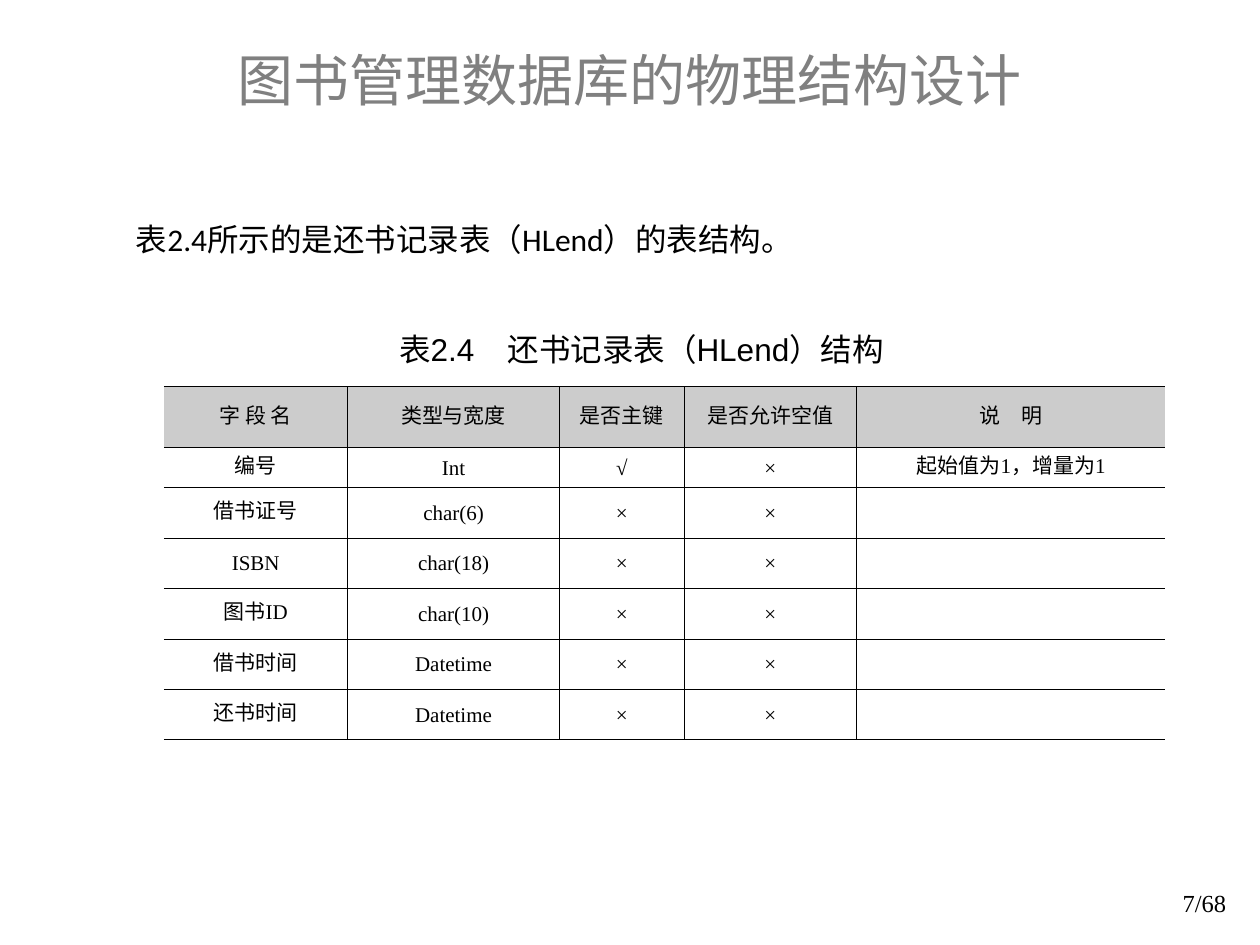
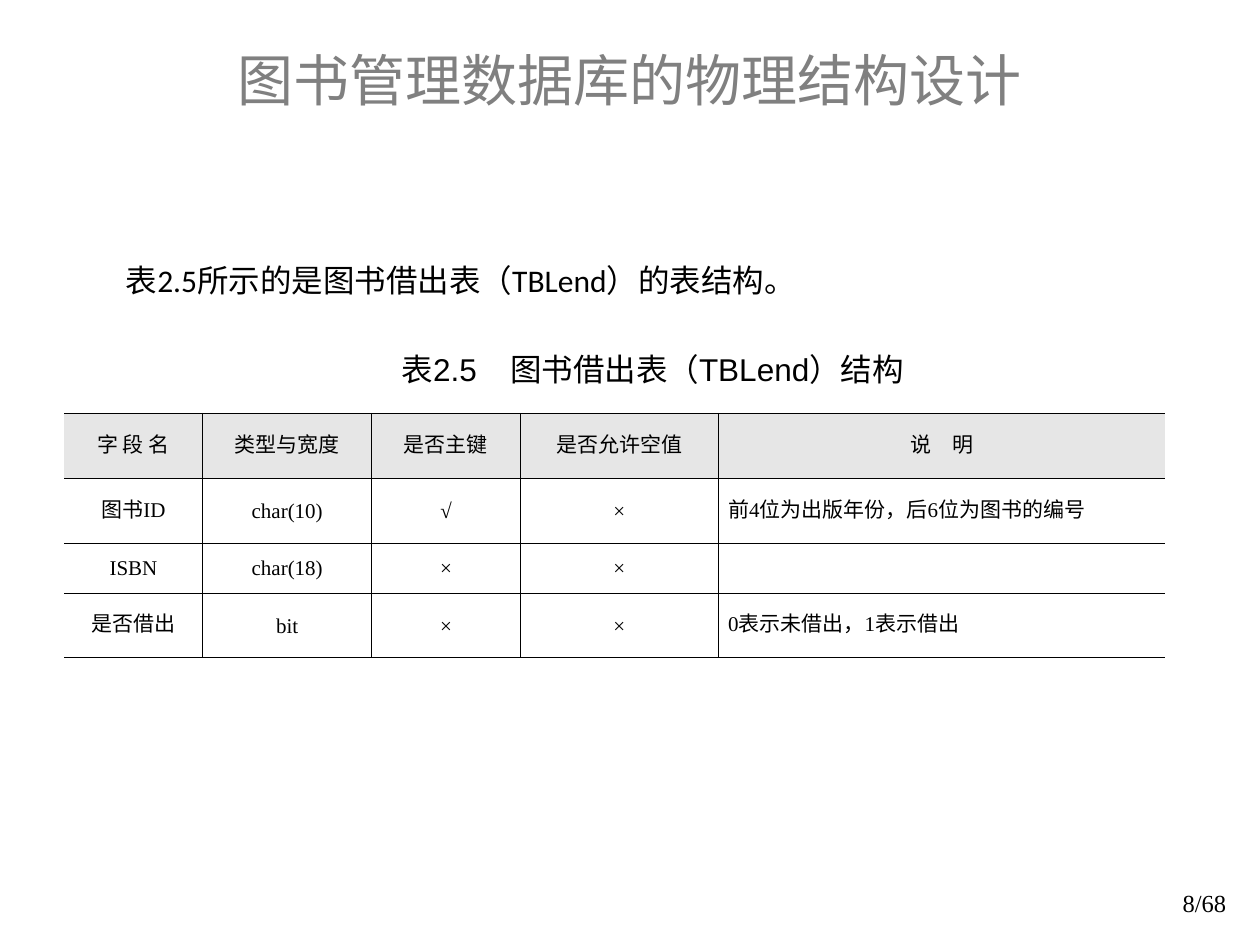
"""Two slides on the physical design of a library database."""
from lxml.etree import SubElement
from pptx import Presentation
from pptx.dml.color import RGBColor
from pptx.enum.text import MSO_ANCHOR, PP_ALIGN
from pptx.oxml.ns import qn
from pptx.util import Inches, Pt

COLORS = {"text": "000000", "title": "808080", "border": "000000"}
TITLE = "图书管理数据库的物理结构设计"
TOTAL_PAGES = 68
HEADER = ["字 段 名", "类型与宽度", "是否主键", "是否允许空值", "说　明"]
CAPTION_TAB = 0.86

SLIDES = [
    {
        "page": 7,
        "intro": ("表2.4所示的是还书记录表（HLend）的表结构。", (0.98, 1.7, 5.3, 0.7)),
        "caption": ("表2.4\t还书记录表（HLend）结构", (3.07, 2.57, 4.6, 0.4)),
        "table_at": (1.3, 3.07),
        "cols": [1.46, 1.68, 0.99, 1.37, 2.45],
        "heights": [0.48, 0.32] + [0.4] * 5,
        "header_fill": "CCCCCC",
        "note_align": PP_ALIGN.CENTER,
        "rows": [
            ["编号", "Int", "√", "×", "起始值为1，增量为1"],
            ["借书证号", "char(6)", "×", "×", ""],
            ["ISBN", "char(18)", "×", "×", ""],
            ["图书ID", "char(10)", "×", "×", ""],
            ["借书时间", "Datetime", "×", "×", ""],
            ["还书时间", "Datetime", "×", "×", ""],
        ],
    },
    {
        "page": 8,
        "intro": ("表2.5所示的是图书借出表（TBLend）的表结构。", (0.9, 2.02, 6.68, 0.4)),
        "caption": ("表2.5\t图书借出表（TBLend）结构", (3.09, 2.73, 4.7, 0.4)),
        "table_at": (0.51, 3.28),
        "cols": [1.1, 1.34, 1.18, 1.57, 3.55],
        "heights": [0.52, 0.51, 0.4, 0.51],
        "header_fill": "E6E6E6",
        "note_align": PP_ALIGN.JUSTIFY,
        "rows": [
            ["图书ID", "char(10)", "√", "×", "前4位为出版年份，后6位为图书的编号"],
            ["ISBN", "char(18)", "×", "×", ""],
            ["是否借出", "bit", "×", "×", "0表示未借出，1表示借出"],
        ],
    },
]


def add_run(p, text, size, font, color="text"):
    r = p.add_run()
    r.text = text
    r.font.size = Pt(size)
    r.font.name = font
    r.font.color.rgb = RGBColor.from_string(COLORS[color])


def add_text(s, text, box, size, font, align=PP_ALIGN.LEFT, tab=None):
    tf = s.shapes.add_textbox(*map(Inches, box)).text_frame
    tf.word_wrap = True
    p = tf.paragraphs[0]
    p.alignment = align
    if tab:
        tabs = SubElement(p._p.get_or_add_pPr(), qn("a:tabLst"))
        SubElement(tabs, qn("a:tab"), pos=str(Inches(tab)), algn="l")
    add_run(p, text, size, font)


def set_borders(cell, hidden):
    tcPr = cell._tc.get_or_add_tcPr()
    for i, side in enumerate("LRTB"):
        ln = tcPr.makeelement(qn(f"a:ln{side}"), {"w": str(Pt(0.45))})
        if side in hidden:
            SubElement(ln, qn("a:noFill"))
        else:
            fill = SubElement(ln, qn("a:solidFill"))
            SubElement(fill, qn("a:srgbClr"), val=COLORS["border"])
        tcPr.insert(i, ln)


def fill_cell(cell, text, font, align, fill, hidden):
    cell.margin_left = cell.margin_right = Inches(0.08)
    cell.margin_top = cell.margin_bottom = Inches(0.05)
    cell.vertical_anchor = MSO_ANCHOR.MIDDLE
    if fill:
        cell.fill.solid()
        cell.fill.fore_color.rgb = RGBColor.from_string(fill)
    else:
        cell.fill.background()
    set_borders(cell, hidden)
    if text:
        p = cell.text_frame.paragraphs[0]
        p.alignment = align
        p.line_spacing = Pt(14)
        add_run(p, text, 12, font)


def add_field_table(s, d):
    rows, cols, heights = [HEADER] + d["rows"], d["cols"], d["heights"]
    box = (*d["table_at"], sum(cols), sum(heights))
    table = s.shapes.add_table(len(rows), len(cols), *map(Inches, box)).table
    table.first_row = table.horz_banding = False
    for col, width in zip(table.columns, cols):
        col.width = Inches(width)
    last = len(cols) - 1
    for i, (row, height) in enumerate(zip(rows, heights)):
        table.rows[i].height = Inches(height)
        font, fill = ("Times New Roman", None) if i else ("Arial", d["header_fill"])
        for j, text in enumerate(row):
            align = d["note_align"] if i and j == last else PP_ALIGN.CENTER
            hidden = {0: "L", last: "R"}.get(j, "")
            fill_cell(table.cell(i, j), text, font, align, fill, hidden)


def add_title(s):
    title = s.shapes.title
    title.left, title.top, title.width, title.height = map(Inches, (0.75, 0, 8.5, 1.25))
    tf = title.text_frame
    tf.vertical_anchor = MSO_ANCHOR.MIDDLE
    p = tf.paragraphs[0]
    p.alignment = PP_ALIGN.CENTER
    add_run(p, TITLE, 32, "Arial", "title")


def main():
    prs = Presentation()
    prs.slide_width, prs.slide_height = Inches(10), Inches(7.5)
    for d in SLIDES:
        s = prs.slides.add_slide(prs.slide_layouts[5])
        add_title(s)
        add_text(s, f"{d['page']}/{TOTAL_PAGES}", (7.75, 7, 2.08, 0.5), 14,
                 "Times New Roman", PP_ALIGN.RIGHT)
        add_text(s, *d["intro"], 18, "Calibri")
        add_field_table(s, d)
        add_text(s, *d["caption"], 18, "Arial", tab=CAPTION_TAB)
    prs.save("out.pptx")


if __name__ == "__main__":
    main()
